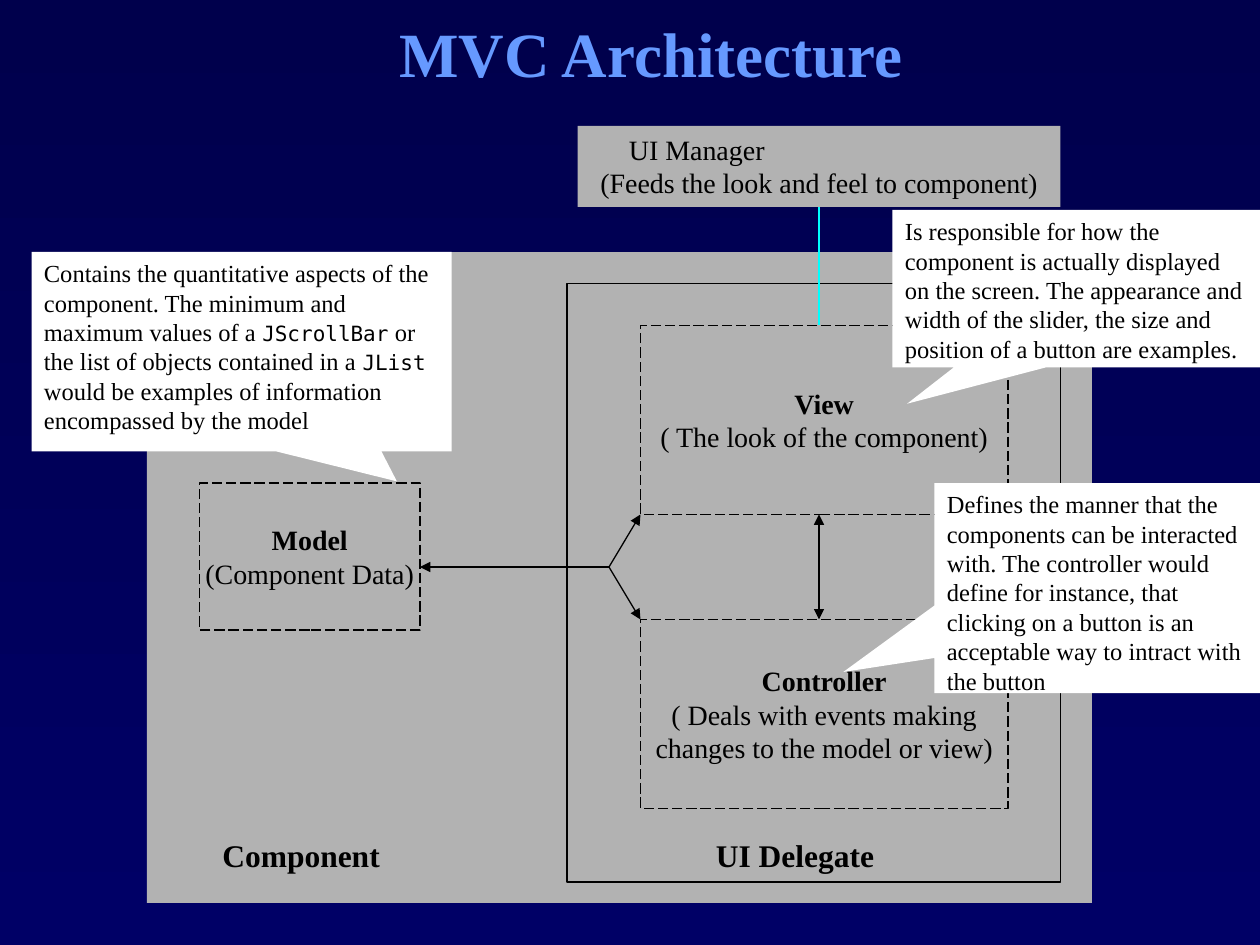
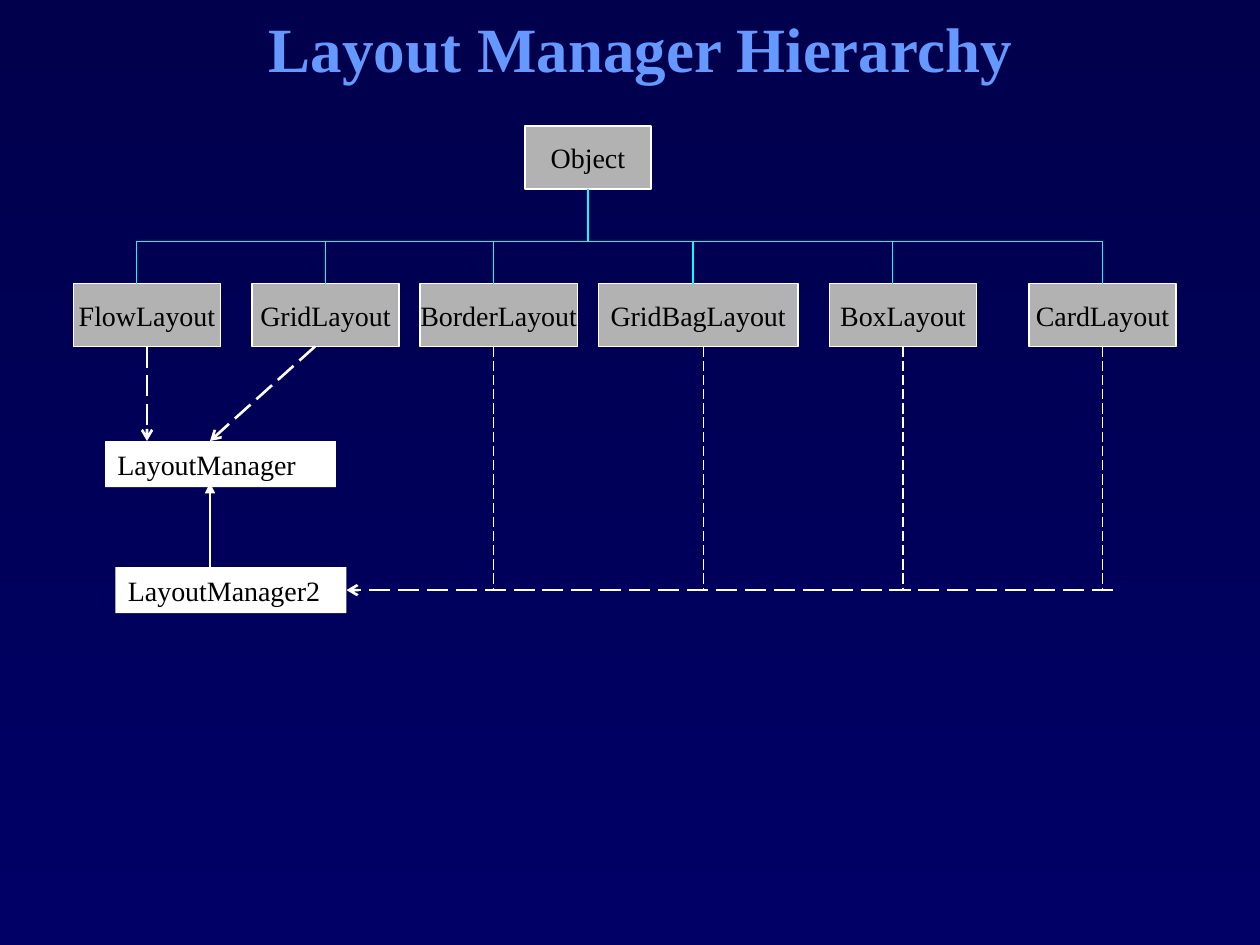
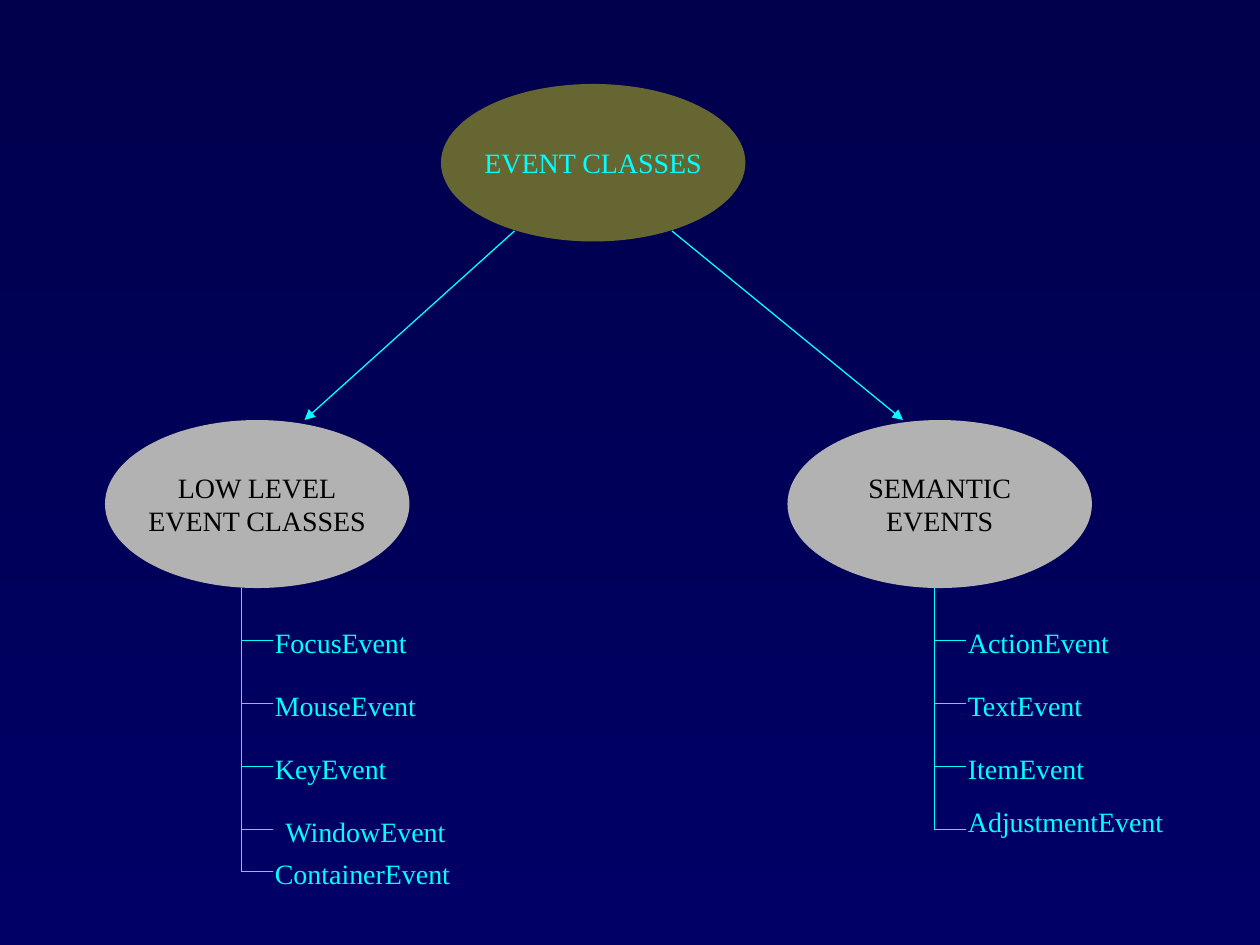
from dataclasses import dataclass

from lxml.etree import SubElement
from pptx import Presentation
from pptx.dml.color import RGBColor
from pptx.enum.dml import MSO_LINE
from pptx.enum.shapes import MSO_CONNECTOR, MSO_SHAPE
from pptx.enum.text import MSO_ANCHOR, MSO_AUTO_SIZE, PP_ALIGN
from pptx.oxml.ns import qn
from pptx.util import Inches, Pt

SLIDE_WIDTH, SLIDE_HEIGHT = Inches(10), Inches(7.5)
COLUMNS, ROWS = 120, 90
COLUMN, ROW = SLIDE_WIDTH // COLUMNS, SLIDE_HEIGHT // ROWS

NIGHT = RGBColor(0x00, 0x00, 0x4C)
NAVY = RGBColor(0x00, 0x00, 0x66)
TITLE_BLUE = RGBColor(0x66, 0x99, 0xFF)
GREY = RGBColor(0xB2, 0xB2, 0xB2)
OLIVE = RGBColor(0x66, 0x66, 0x33)
CYAN = RGBColor(0x00, 0xFF, 0xFF)
WHITE = RGBColor(0xFF, 0xFF, 0xFF)
BLACK = RGBColor(0x00, 0x00, 0x00)

SERIF = "Times New Roman"
MONO = "DejaVu Sans Mono"
TITLE_ONLY, BLANK = 5, 6
TOP, BOTTOM, RIGHT = 0, 2, 3


@dataclass
class Box:
    left: float
    top: float
    width: float
    height: float

    def inner(self, left, top, width, height):
        return Box(self.left + left, self.top + top, width, height)

    def point(self, column, row):
        return self.left + column, self.top + row

    def center(self):
        return self.left + self.width / 2

    def lengths(self):
        return (round(self.left * COLUMN), round(self.top * ROW),
                round(self.width * COLUMN), round(self.height * ROW))


PAGE = Box(0, 0, COLUMNS, ROWS)


def set_font(font, size, color, bold=False, name=SERIF):
    font.name, font.size, font.bold = name, Pt(size), bold
    font.color.rgb = color


def write(shape, lines, size=16, color=BLACK, align=PP_ALIGN.CENTER,
          anchor=MSO_ANCHOR.MIDDLE, wrap=False, bold_lines=0):
    frame = shape.text_frame
    frame.text = "\n".join(lines)
    frame.auto_size = MSO_AUTO_SIZE.NONE
    frame.word_wrap = wrap
    frame.vertical_anchor = anchor
    for index, paragraph in enumerate(frame.paragraphs):
        paragraph.alignment = align
        set_font(paragraph.font, size, color, index < bold_lines)


def add_box(slide, box, fill=GREY, line=None, dash=None, kind=MSO_SHAPE.RECTANGLE):
    shape = slide.shapes.add_shape(kind, *box.lengths())
    shape.shadow.inherit = False
    shape.fill.solid()
    shape.fill.fore_color.rgb = fill
    if line is None:
        shape.line.fill.background()
    else:
        shape.line.color.rgb = line
        shape.line.width = Pt(0.75)
        shape.line.dash_style = dash
    return shape


def add_label(slide, box, text, size=16, color=BLACK, bold=False):
    label = slide.shapes.add_textbox(*box.lengths())
    write(label, [text], size, color, PP_ALIGN.LEFT, MSO_ANCHOR.TOP, True, int(bold))


def add_line(slide, start, end, color, width=0.75, dash=None, head=None, tail=None,
             begin_at=None, end_at=None):
    connector = slide.shapes.add_connector(
        MSO_CONNECTOR.STRAIGHT,
        round(start[0] * COLUMN), round(start[1] * ROW),
        round(end[0] * COLUMN), round(end[1] * ROW))
    if begin_at:
        connector.begin_connect(*begin_at)
    if end_at:
        connector.end_connect(*end_at)
    connector.line.color.rgb = color
    connector.line.width = Pt(width)
    connector.line.dash_style = dash
    properties = connector._element.spPr
    outline = properties.find(qn("a:ln"))
    for tag, arrow in (("a:headEnd", head), ("a:tailEnd", tail)):
        if arrow:
            SubElement(outline, qn(tag)).set("type", arrow)
    SubElement(properties, qn("a:effectLst"))


def add_title(slide, box, text):
    title = slide.shapes.title
    title.left, title.top, title.width, title.height = box.lengths()
    write(title, [text], 36, TITLE_BLUE, wrap=True, bold_lines=1)


def add_callout(slide, box, pointer, runs):
    callout = add_box(slide, box, WHITE, kind=MSO_SHAPE.RECTANGULAR_CALLOUT)
    callout.adjustments[0], callout.adjustments[1] = pointer
    write(callout, [""], 14, align=PP_ALIGN.LEFT, anchor=MSO_ANCHOR.TOP, wrap=True)
    paragraph = callout.text_frame.paragraphs[0]
    for index, text in enumerate(runs):
        run = paragraph.add_run()
        run.text = text
        is_code = index % 2 == 1
        set_font(run.font, 12 if is_code else 14, BLACK, name=MONO if is_code else SERIF)


def add_role(slide, box, lines):
    role = add_box(slide, box, line=BLACK, dash=MSO_LINE.LONG_DASH)
    write(role, lines, bold_lines=1)


def add_delegate(slide, box):
    add_box(slide, box, line=BLACK)
    add_role(slide, box.inner(7, 4, 35, 18), ["View", "( The look of the component)"])
    add_role(slide, box.inner(7, 32, 35, 18),
             ["Controller", "( Deals with events making", "changes to the model or view)"])
    add_label(slide, box.inner(13, 52, 18, 4.8), "UI Delegate", 18, bold=True)


def add_component(slide, box):
    add_box(slide, box)
    add_role(slide, box.inner(5, 22, 21, 14), ["Model", "(Component Data)"])
    add_label(slide, box.inner(6, 55, 19, 4.8), "Component", 18, bold=True)
    add_delegate(slide, box.inner(40, 3, 47, 57))
    hub = box.point(44, 30)
    for target in ((26, 30), (47, 25), (47, 35)):
        add_line(slide, hub, box.point(*target), BLACK, tail="triangle")
    add_line(slide, box.point(64, 25), box.point(64, 35), BLACK,
             head="triangle", tail="triangle")


def add_manager(slide, box):
    manager = add_box(slide, box)
    write(manager, ["UI Manager", "(Feeds the look and feel to component)"],
          anchor=MSO_ANCHOR.TOP, wrap=True)
    heading = manager.text_frame.paragraphs[0]
    heading.alignment = PP_ALIGN.LEFT
    heading._p.get_or_add_pPr().set("marL", str(Inches(0.31)))
    add_line(slide, box.point(23, 8), box.point(23, 19), CYAN, begin_at=(manager, BOTTOM))


def build_architecture(slide):
    add_title(slide, PAGE.inner(11, 0, 102, 10), "MVC Architecture")
    add_component(slide, PAGE.inner(14, 24, 90, 62))
    add_manager(slide, PAGE.inner(55, 12, 46, 7.7))
    add_callout(slide, PAGE.inner(3, 24, 40, 19), (0.37, 0.65), [
        "Contains the quantitative aspects of the component. "
        "The minimum and maximum values of a ", "JScrollBar",
        " or the list of objects contained in a ", "JList",
        " would be examples of information encompassed by the model"])
    add_callout(slide, PAGE.inner(85, 20, 35, 15), (-0.46, 0.73), [
        "Is responsible for how the component is actually displayed on the screen. "
        "The appearance and width of the slider, the size and position of a button "
        "are examples."])
    add_callout(slide, PAGE.inner(89, 46, 31, 20), (-0.78, 0.4), [
        "Defines the manner that the components can be interacted with. "
        "The controller would define for instance, that clicking on a button is an "
        "acceptable way to intract with the button"])


def add_class(slide, box, name):
    shape = add_box(slide, box, line=WHITE)
    write(shape, [name])
    return shape


def add_interface(slide, box, name):
    shape = add_box(slide, box, WHITE)
    write(shape, [name], align=PP_ALIGN.LEFT, anchor=MSO_ANCHOR.TOP, wrap=True)
    return shape


def add_class_tree(slide, box):
    root_box = box.inner(43, 0, 12, 6)
    root = add_class(slide, root_box, "Object")
    add_line(slide, (root_box.center(), box.top + 6), (root_box.center(), box.top + 11),
             CYAN, begin_at=(root, BOTTOM))
    add_line(slide, box.point(6, 11), box.point(98, 11), CYAN)
    classes = {}
    for name, left, width, drop in (
            ("FlowLayout", 0, 14, 6), ("GridLayout", 17, 14, 24),
            ("BorderLayout", 33, 15, 40), ("GridBagLayout", 50, 19, 59),
            ("BoxLayout", 72, 14, 78), ("CardLayout", 91, 14, 98)):
        class_box = box.inner(left, 15, width, 6)
        classes[name] = add_class(slide, class_box, name)
        is_centered = box.left + drop == class_box.center()
        add_line(slide, box.point(drop, 11), box.point(drop, 15), CYAN,
                 end_at=(classes[name], TOP) if is_centered else None)
    return classes


def add_interfaces(slide, box, classes):
    dashed = {"color": WHITE, "dash": MSO_LINE.LONG_DASH}
    add_interface(slide, box.inner(3, 9, 22, 4.4), "LayoutManager")
    add_line(slide, box.point(7, 0), box.point(7, 9), width=1.5, tail="arrow",
             begin_at=(classes["FlowLayout"], BOTTOM), **dashed)
    add_line(slide, box.point(23, 0), box.point(13, 9), width=1.5, tail="arrow", **dashed)

    second = add_interface(slide, box.inner(4, 21, 22, 4.4), "LayoutManager2")
    add_line(slide, box.point(13, 21), box.point(13, 13), WHITE, 1, tail="triangle")
    add_line(slide, box.point(99, 23.2), box.point(26, 23.2), width=1.5, tail="arrow",
             end_at=(second, RIGHT), **dashed)
    for name, column in (("BorderLayout", 40), ("GridBagLayout", 60),
                         ("BoxLayout", 79), ("CardLayout", 98)):
        is_centered = name in ("BoxLayout", "CardLayout")
        add_line(slide, box.point(column, 0), box.point(column, 23),
                 begin_at=(classes[name], BOTTOM) if is_centered else None, **dashed)


def build_hierarchy(slide):
    add_title(slide, PAGE.inner(10, 0, 102, 9), "Layout Manager Hierarchy")
    classes = add_class_tree(slide, PAGE.inner(7, 12, 105, 21))
    add_interfaces(slide, PAGE.inner(7, 33, 105, 26), classes)


def add_oval(slide, box, lines, fill=GREY, color=BLACK):
    write(add_box(slide, box, fill, kind=MSO_SHAPE.OVAL), lines, color=color)


def add_event_branch(slide, box, heading, trunk, events):
    add_oval(slide, box.inner(0, 0, box.width, 16), heading)
    add_line(slide, box.point(trunk, 16), box.point(trunk, events[-1][1]), CYAN)
    for name, row, width, indent, rise in events:
        add_line(slide, box.point(trunk, row), box.point(trunk + 3, row), CYAN)
        add_label(slide, box.inner(trunk + indent, row - rise, width, 4.4), name, color=CYAN)


def build_events(slide):
    add_oval(slide, PAGE.inner(42, 8, 29, 15), ["EVENT CLASSES"], OLIVE, CYAN)
    for start, end in (((49, 22), (29, 40)), ((64, 22), (86, 40))):
        add_line(slide, start, end, CYAN, tail="triangle")
    add_event_branch(slide, PAGE.inner(10, 40, 29, 46), ["LOW LEVEL", "EVENT CLASSES"], 13, [
        ("FocusEvent", 21, 20, 2, 2), ("MouseEvent", 27, 17, 2, 2),
        ("KeyEvent", 33, 16, 2, 2), ("WindowEvent", 39, 22, 3, 2),
        ("ContainerEvent", 43, 20, 2, 2)])
    add_event_branch(slide, PAGE.inner(75, 40, 29, 46), ["SEMANTIC", "EVENTS"], 14, [
        ("ActionEvent", 21, 20, 2, 2), ("TextEvent", 27, 17, 2, 2),
        ("ItemEvent", 33, 16, 2, 2), ("AdjustmentEvent", 39, 22, 2, 3)])


def set_background(master):
    fill = master.background.fill
    fill.gradient()
    fill.gradient_angle = 270
    for stop, color in zip(fill.gradient_stops, (NIGHT, NAVY)):
        stop.color.rgb = color


def main():
    presentation = Presentation()
    presentation.slide_width, presentation.slide_height = SLIDE_WIDTH, SLIDE_HEIGHT
    set_background(presentation.slide_master)
    for layout, build in ((TITLE_ONLY, build_architecture),
                          (TITLE_ONLY, build_hierarchy), (BLANK, build_events)):
        build(presentation.slides.add_slide(presentation.slide_layouts[layout]))
    presentation.save("out.pptx")


if __name__ == "__main__":
    main()
